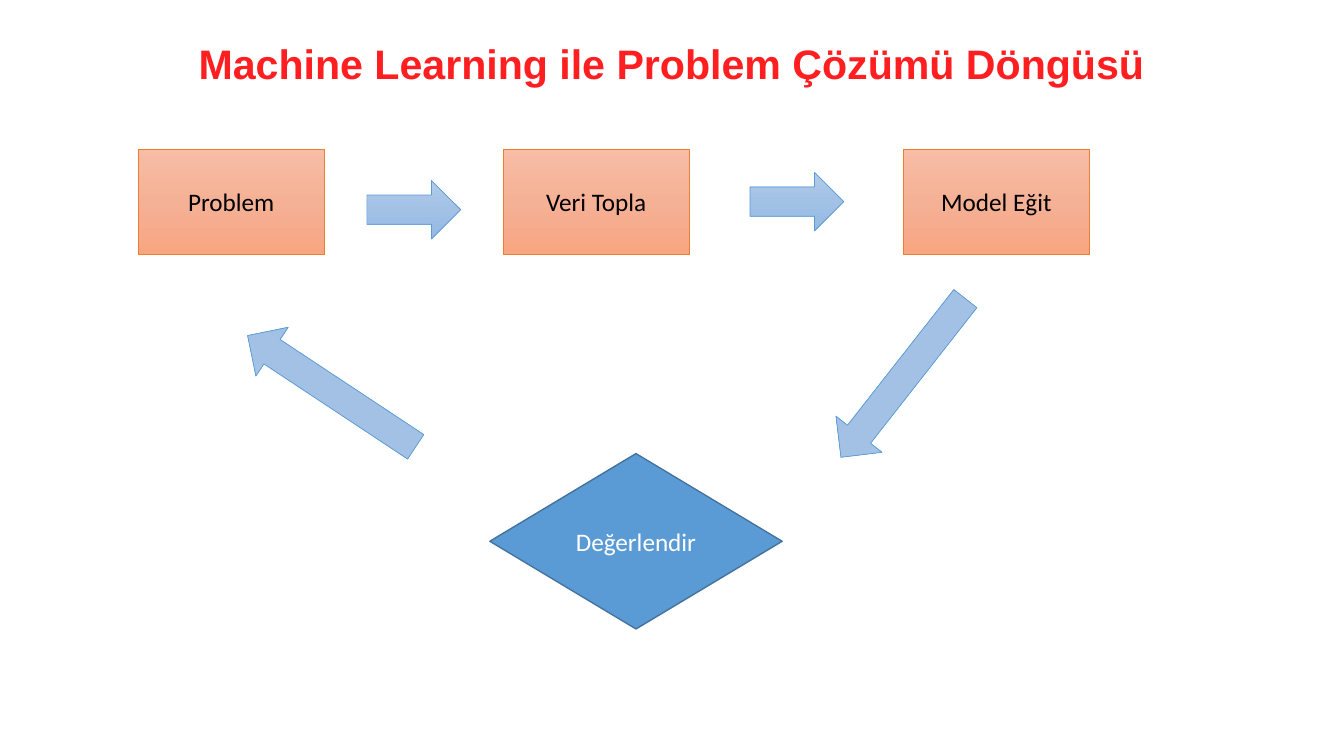
from copy import deepcopy
from dataclasses import dataclass

from pptx import Presentation
from pptx.dml.color import RGBColor
from pptx.enum.shapes import MSO_SHAPE
from pptx.enum.text import MSO_ANCHOR, PP_ALIGN
from pptx.oxml.ns import qn
from pptx.util import Pt

RECT = MSO_SHAPE.RECTANGLE
ARROW = MSO_SHAPE.RIGHT_ARROW
CHOICE = MSO_SHAPE.FLOWCHART_DECISION
MIDDLE = MSO_ANCHOR.MIDDLE
CENTER = PP_ALIGN.CENTER


@dataclass(frozen=True)
class Theme:
    red: str = "FF1F20"
    black: str = "000000"
    white: str = "FFFFFF"
    blue: str = "5B9BD5"
    navy: str = "43739E"
    orange: str = "ED7D31"
    peach: tuple = ("F7BDA5", "F5B196", "F8A582")
    sky: tuple = ("B1CBE9", "A3C1E5", "93B9E4")
    head: float = 29.4
    body: float = 18
    thin: float = 0.5
    thick: float = 1


THEME = Theme()


def rgb(code):
    return RGBColor.from_string(code)


def style(target, values):
    for name, value in values.items():
        setattr(target, name, value)


def write(shape, text, face, size, color, bold=False, space=None):
    frame = shape.text_frame
    style(frame, {"word_wrap": True, "vertical_anchor": MIDDLE})
    para = frame.paragraphs[0]
    style(para, {"alignment": CENTER, "line_spacing": space})
    run = para.add_run()
    run.text = text
    style(run.font, {"name": face, "size": Pt(size), "bold": bold})
    run.font.color.rgb = rgb(color)


def blend(shape, colors):
    """Fill from top to bottom with evenly spaced colours."""
    fill = shape.fill
    fill.gradient()
    fill.gradient_angle = 270
    stops = shape._element.spPr.find(qn("a:gradFill")).find(qn("a:gsLst"))
    stops.insert(1, deepcopy(stops[0]))
    for i, (stop, color) in enumerate(zip(fill.gradient_stops, colors)):
        stop.color.rgb = rgb(color)
        stop.position = i / (len(colors) - 1)


def block(slide, kind, box, edge, width):
    shape = slide.shapes.add_shape(kind, *map(Pt, box))
    shape.shadow.inherit = False
    shape.line.color.rgb = rgb(edge)
    shape.line.width = Pt(width)
    return shape


def title(slide, box, text):
    shape = slide.shapes.add_textbox(*map(Pt, box))
    write(shape, text, "Arial", THEME.head, THEME.red, True, 0.7)


def step(slide, box, text):
    shape = block(slide, RECT, box, THEME.orange, THEME.thin)
    blend(shape, THEME.peach)
    write(shape, text, "Calibri", THEME.body, THEME.black)


def arrow(slide, box, turn=0):
    shape = block(slide, ARROW, box, THEME.blue, THEME.thin)
    blend(shape, THEME.sky)
    shape.rotation = turn


def choice(slide, box, text):
    shape = block(slide, CHOICE, box, THEME.navy, THEME.thick)
    shape.fill.solid()
    shape.fill.fore_color.rgb = rgb(THEME.blue)
    write(shape, text, "Calibri", THEME.body, THEME.white)


def cycle(slide, box):
    left, top, wide, high = box
    # Steps along the top
    for x, text in ((0, "Problem"), (260.7, "Veri Topla"), (546.5, "Model Eğit")):
        step(slide, (left + x, top, 133.2, 75), text)
    # Evaluation at the foot
    choice(slide, (left + 251.3, top + high - 125.3, 208.8, 125.3), "Değerlendir")
    # Arrows: offset, length, turn
    for x, y, size, turn in (
        (163.5, 22.3, 67, 0),
        (437.1, 16.5, 67, 0),
        (474.5, 142.5, 144, 128.1),
        (66.3, 151.9, 144, 213.5),
    ):
        arrow(slide, (left + x, top + y, size, 41.8), turn)


def main():
    deck = Presentation()
    style(deck, {"slide_width": Pt(960), "slide_height": Pt(540)})
    slide = deck.slides.add_slide(deck.slide_layouts[6])
    title(slide, (120, 21.6, 720, 56.2), "Machine Learning ile Problem Çözümü Döngüsü")
    cycle(slide, (98.6, 106.6, 679.7, 342.7))
    deck.save("out.pptx")


if __name__ == "__main__":
    main()
